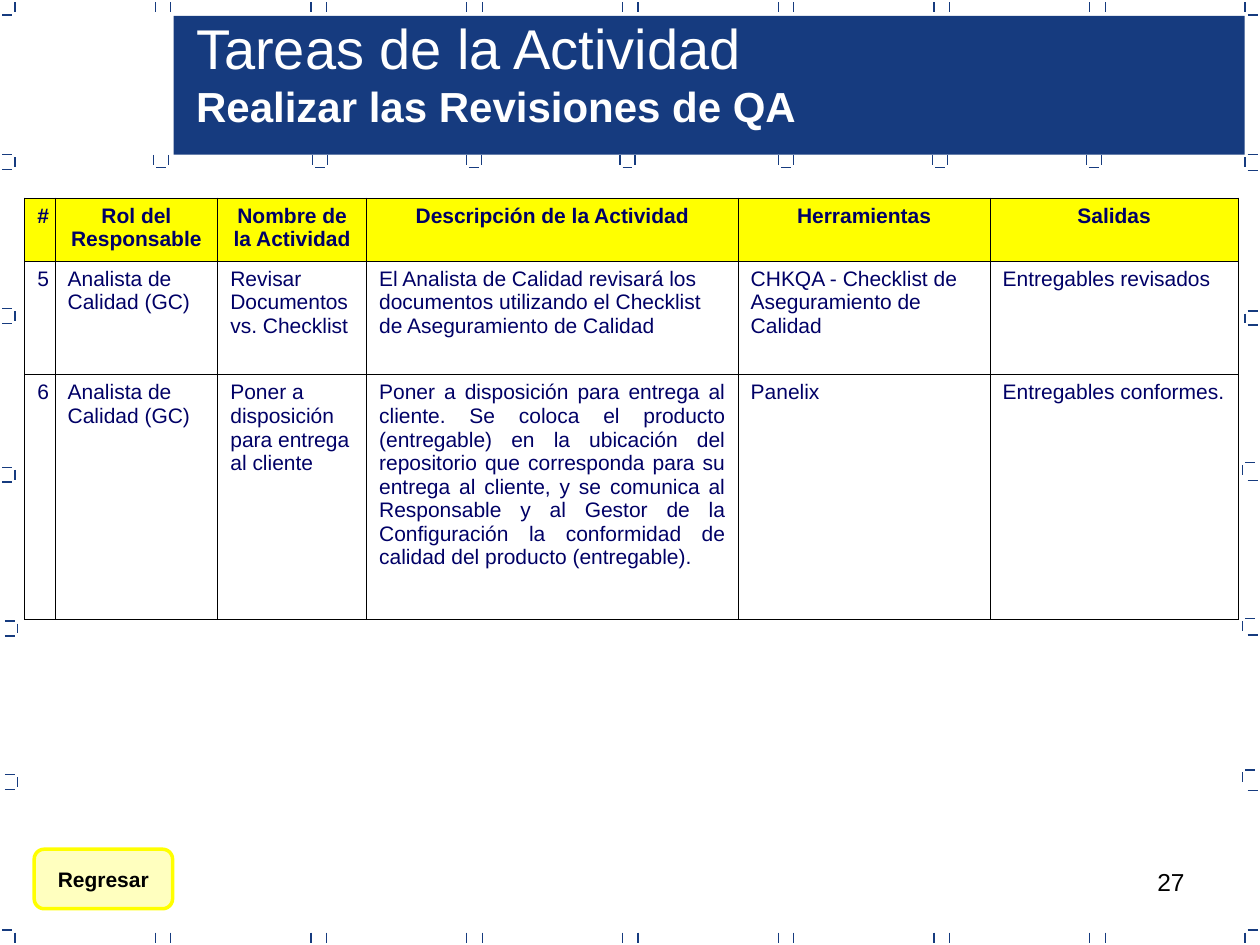
"""Build the slide listing the tasks of the QA review activity."""
from dataclasses import dataclass

from lxml import etree
from pptx import Presentation
from pptx import util as u
from pptx.dml.color import RGBColor
from pptx.enum import shapes, text
from pptx.oxml import ns, parse_xml

TITLE = ("Tareas de la Actividad", "Realizar las Revisiones de QA")
HEADERS = ("#", "Rol del Responsable", "Nombre de la Actividad",
           "Descripción de la Actividad", "Herramientas", "Salidas")
TASKS = (
    ("5", "Analista de Calidad (GC)", "Revisar Documentos vs. Checklist",
     "El Analista de Calidad revisará los documentos utilizando el Checklist "
     "de Aseguramiento de Calidad",
     "CHKQA - Checklist de Aseguramiento de Calidad", "Entregables revisados"),
    ("6", "Analista de Calidad (GC)", "Poner a disposición para entrega al cliente",
     "Poner a disposición para entrega al cliente. Se coloca el producto "
     "(entregable) en la ubicación del repositorio que corresponda para su "
     "entrega al cliente, y se comunica al Responsable y al Gestor de la "
     "Configuración la conformidad de calidad del producto (entregable).",
     "Panelix", "Entregables conformes."),
)
BUTTON = "Regresar"
PAGE_NUMBER = "27"
COLUMN_WIDTHS = (0.61, 3.28, 3, 7.49, 5.08, 5)
ROW_HEIGHTS = (1.27, 2.29, 4.93)
WIDE_SPACED = {(1, 3), (1, 4), (1, 5), (2, 5)}
JUSTIFIED = (2, 3)

TICK, INSET = 0.2, 0.05
TOP_Y, BOTTOM_Y = 0.05, 18.8
PAIR_START, PAIR_STEP, PAIR_GAP, PAIR_COUNT = 3.13, 3.14, 0.31, 7
CUP_LEFTS, CUP_TOP, CUP_WIDTH = (3.1, 6.3, 9.4, 12.5, 15.7, 18.8, 21.9), 3.12, 0.3
LEFT_BRACKETS = ((0.05, 3.12), (0.05, 6.22), (0.05, 9.42), (0.1, 12.52), (0.1, 15.62))
RIGHT_BRACKETS = ((25.1, 3.12, 3.43), (25.1, 6.27, 6.55), (25.05, 9.32, 9.68),
                  (25.05, 12.47, 12.8), (25.05, 15.52, 15.93))
LEFT_X, RIGHT_X = 0.05, 25.15
LEFT_EDGE, RIGHT_EDGE = 0.3, 25.1
CORNER_YS = (0.3, 18.75)


@dataclass(frozen=True)
class Theme:
    font: str = "Arial"
    navy: str = "163B7F"
    ink: str = "000066"
    yellow: str = "FFFF00"
    white: str = "FFFFFF"
    black: str = "000000"
    title: int = 32
    subtitle: int = 24
    body: int = 12
    number: int = 14
    tick_width: float = 0.74
    border_width: float = 0.45


theme = Theme()


def color(value):
    return RGBColor.from_string(value)


def box(*lengths):
    return [u.Cm(length) for length in lengths]


def format_paragraph(paragraph, size, hue, bold=False, align=text.PP_ALIGN.LEFT):
    paragraph.alignment = align
    for run in paragraph.runs:
        run.font.name = theme.font
        run.font.size = u.Pt(size)
        run.font.bold = bold
        run.font.color.rgb = color(hue)


def place(shape, *lengths):
    shape.left, shape.top, shape.width, shape.height = box(*lengths)


def add_tick(slide, x, y, vertical):
    end_x, end_y = (x, y + TICK) if vertical else (x + TICK, y)
    tick = slide.shapes.add_connector(
        shapes.MSO_CONNECTOR.STRAIGHT, *box(x, y, end_x, end_y))
    tick.line.color.rgb = color(theme.navy)
    tick.line.width = u.Pt(theme.tick_width)
    etree.SubElement(tick.element.spPr, ns.qn("a:effectLst"))


def frame_ticks():
    vertical, horizontal = [], []
    for index in range(PAIR_COUNT):
        x = PAIR_START + index * PAIR_STEP
        vertical += [(x + gap, y) for gap in (0, PAIR_GAP) for y in (TOP_Y, BOTTOM_Y)]
    for x in CUP_LEFTS:
        vertical += [(x, CUP_TOP), (x + CUP_WIDTH, CUP_TOP)]
        horizontal.append((x + INSET, CUP_TOP + TICK + INSET))
    for x, y in LEFT_BRACKETS:
        vertical.append((x + TICK + INSET, y + INSET))
        horizontal += [(x, y), (x, y + TICK + 2 * INSET)]
    for x, y, low_y in RIGHT_BRACKETS:
        vertical.append((x, y + INSET))
        horizontal += [(x + INSET, y), (RIGHT_X, low_y)]
    vertical += [(x, y) for x in (LEFT_EDGE, RIGHT_EDGE) for y in (TOP_Y, BOTTOM_Y)]
    horizontal += [(x, y) for x in (LEFT_X, RIGHT_X) for y in CORNER_YS]
    return [(*point, True) for point in vertical] + [(*point, False) for point in horizontal]


def add_borders(cell):
    properties = cell._tc.get_or_add_tcPr()
    for index, side in enumerate("LRTB"):
        properties.insert(index, parse_xml(
            f'<a:ln{side} {ns.nsdecls("a")} w="{u.Pt(theme.border_width)}"><a:solidFill>'
            f'<a:srgbClr val="{theme.black}"/></a:solidFill></a:ln{side}>'))


def cell_alignment(row, column):
    if row == 0 or column == 0:
        return text.PP_ALIGN.CENTER
    return text.PP_ALIGN.JUSTIFY if (row, column) == JUSTIFIED else text.PP_ALIGN.LEFT


def add_tasks_table(slide):
    rows = (HEADERS, *TASKS)
    table = slide.shapes.add_table(
        len(rows), len(HEADERS),
        *box(0.5, 3.99, sum(COLUMN_WIDTHS), sum(ROW_HEIGHTS))).table
    table.first_row = table.horz_banding = False
    for column, width in zip(table.columns, COLUMN_WIDTHS):
        column.width = u.Cm(width)
    for row, height in zip(table.rows, ROW_HEIGHTS):
        row.height = u.Cm(height)
    for row, values in enumerate(rows):
        for column, value in enumerate(values):
            cell = table.cell(row, column)
            cell.text_frame.text = value
            paragraph = cell.text_frame.paragraphs[0]
            format_paragraph(paragraph, theme.body, theme.ink, row == 0,
                             cell_alignment(row, column))
            wide = (row, column) in WIDE_SPACED
            paragraph.space_before = u.Pt(6 if wide else 3)
            paragraph.space_after = u.Pt(6 if wide else 0)
            if row == 0:
                cell.fill.solid()
                cell.fill.fore_color.rgb = color(theme.yellow)
            else:
                cell.fill.background()
            add_borders(cell)


def add_banner(slide):
    banner = slide.shapes.add_shape(
        shapes.MSO_SHAPE.RECTANGLE, *box(3.5, 0.32, 21.59, 2.8))
    banner.shadow.inherit = False
    banner.fill.solid()
    banner.fill.fore_color.rgb = color(theme.navy)
    banner.line.fill.background()


def set_title(slide):
    title = slide.shapes.title
    place(title, 3.7, 0.15, 16.61, 2.64)
    frame = title.text_frame
    frame.text = "\n".join(TITLE)
    frame.vertical_anchor = text.MSO_ANCHOR.TOP
    frame.auto_size = text.MSO_AUTO_SIZE.NONE
    format_paragraph(frame.paragraphs[0], theme.title, theme.white)
    format_paragraph(frame.paragraphs[1], theme.subtitle, theme.white, True)
    title.element.getparent().append(title.element)


def add_button(slide):
    button = slide.shapes.add_shape(
        shapes.MSO_SHAPE.FLOWCHART_ALTERNATE_PROCESS, *box(0.69, 17.12, 2.79, 1.2))
    button.shadow.inherit = False
    button.fill.solid()
    button.fill.fore_color.rgb = color(theme.yellow)
    fill_color = button.element.spPr.find(ns.qn("a:solidFill"))[0]
    etree.SubElement(fill_color, ns.qn("a:alpha"), val="25000")
    button.line.color.rgb = color(theme.yellow)
    button.line.width = u.Pt(2)
    frame = button.text_frame
    frame.text = BUTTON
    frame.word_wrap = False
    frame.vertical_anchor = text.MSO_ANCHOR.MIDDLE
    format_paragraph(frame.paragraphs[0], theme.body, theme.black, True,
                     text.PP_ALIGN.CENTER)


def add_page_number(slide):
    frame = slide.shapes.add_textbox(*box(18.2, 17.35, 5.93, 1.32)).text_frame
    frame.text = PAGE_NUMBER
    frame.word_wrap = True
    format_paragraph(frame.paragraphs[0], theme.number, theme.black,
                     align=text.PP_ALIGN.RIGHT)


presentation = Presentation()
presentation.slide_width, presentation.slide_height = box(25.4, 19.05)
slide = presentation.slides.add_slide(presentation.slide_layouts[5])
add_page_number(slide)
for tick in frame_ticks():
    add_tick(slide, *tick)
add_banner(slide)
add_tasks_table(slide)
set_title(slide)
add_button(slide)
presentation.save("out.pptx")
